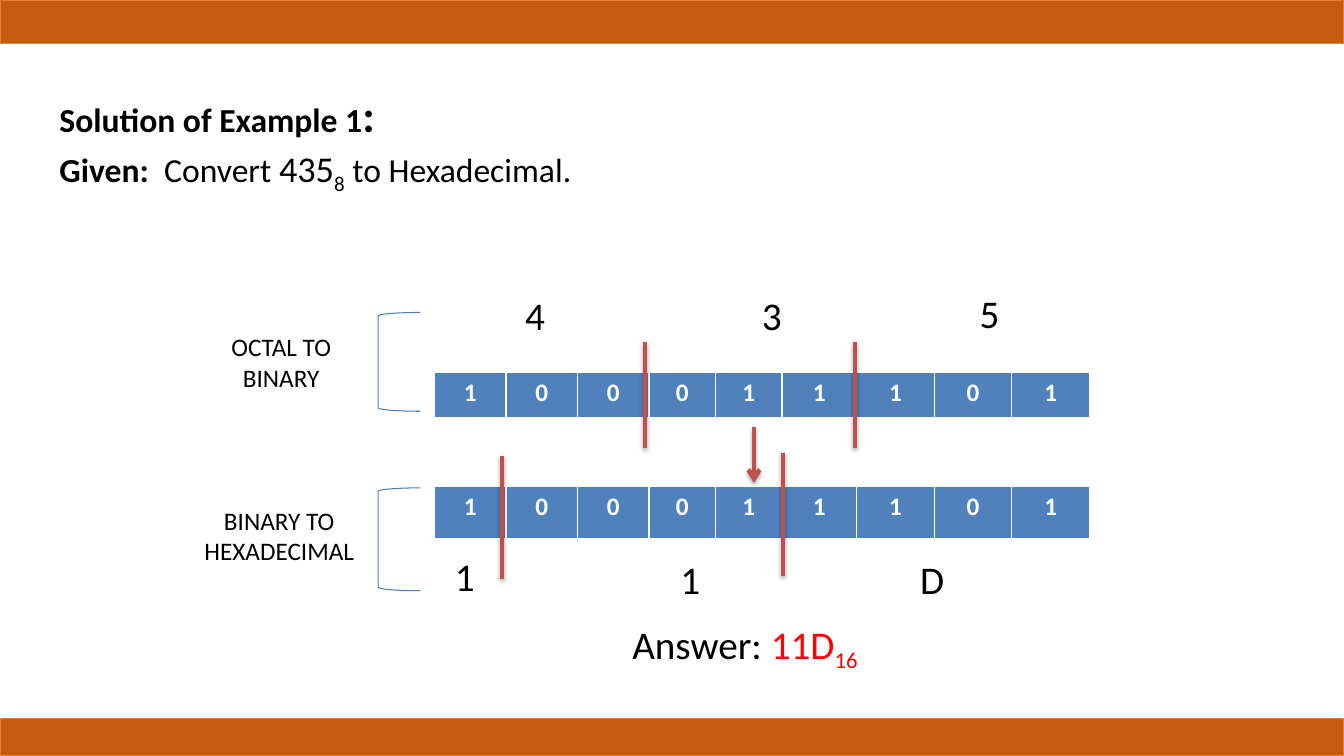
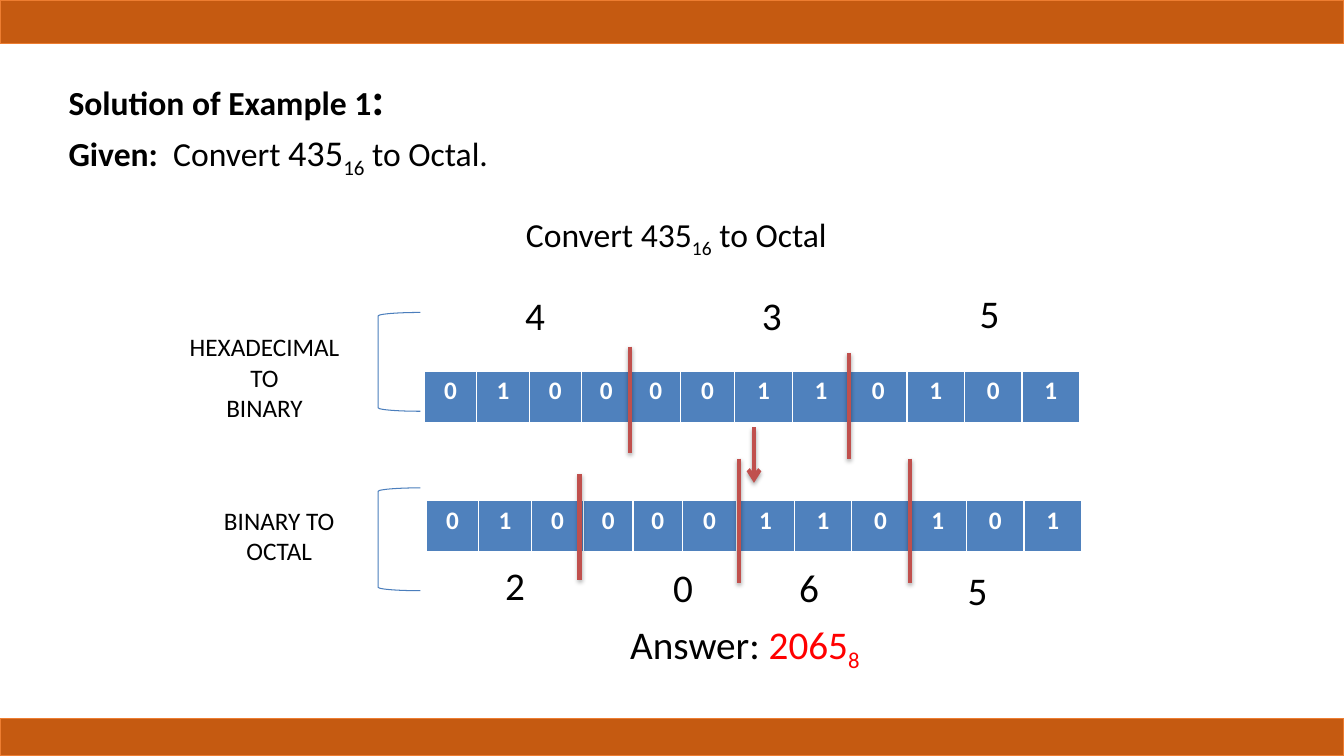
from lxml import etree
from pptx import Presentation
from pptx.dml.color import RGBColor
from pptx.enum.shapes import MSO_CONNECTOR, MSO_SHAPE
from pptx.enum.text import MSO_ANCHOR, MSO_AUTO_SIZE, PP_ALIGN
from pptx.oxml import parse_xml
from pptx.oxml.ns import nsdecls, qn
from pptx.util import Inches, Pt

LEFT, CENTER = PP_ALIGN.LEFT, PP_ALIGN.CENTER
TOP = MSO_ANCHOR.TOP
NO_FIT = MSO_AUTO_SIZE.NONE
STRAIGHT = MSO_CONNECTOR.STRAIGHT
RECTANGLE, LEFT_BRACKET = MSO_SHAPE.RECTANGLE, MSO_SHAPE.LEFT_BRACKET

BLACK = RGBColor(0x00, 0x00, 0x00)
WHITE = RGBColor(0xFF, 0xFF, 0xFF)
RED = RGBColor(0xFF, 0x00, 0x00)
BRICK = RGBColor(0xC0, 0x50, 0x4D)
CELL_BLUE = RGBColor(0x4F, 0x81, 0xBD)
BRACKET_BLUE = RGBColor(0x4B, 0x7E, 0xBC)
BAND_FILL = RGBColor(0xC5, 0x5A, 0x11)
BAND_EDGE = RGBColor(0xED, 0x7D, 0x31)

FONT = "Calibri"
COLUMNS, ROWS = 80, 45
SUBSCRIPT = "-25000"
BORDERS = {"lnL": 1, "lnR": 1, "lnT": 1, "lnB": 3}
SHADOW = (
    f'<a:effectLst {nsdecls("a")}>'
    f'<a:outerShdw blurRad="{Pt(3.1)}" dist="{Pt(1.8)}" dir="5400000" rotWithShape="0">'
    '<a:srgbClr val="000000"><a:alpha val="35000"/></a:srgbClr>'
    "</a:outerShdw></a:effectLst>"
)


def add_text(paragraph, text, size=18, color=BLACK, bold=False, subscript=False):
    for index, line in enumerate(text.split("\n")):
        if index:
            paragraph.add_line_break()
        run = paragraph.add_run()
        run.text = line
        run.font.name = FONT
        run.font.size = Pt(size)
        run.font.bold = bold
        run.font.color.rgb = color
        if subscript:
            run.font._element.set("baseline", SUBSCRIPT)


class Deck:
    def __init__(self):
        self.presentation = Presentation()
        self.presentation.slide_width = Inches(13.33)
        self.presentation.slide_height = Inches(7.5)
        self.slide = None

    def x(self, columns):
        return round(self.presentation.slide_width * columns / COLUMNS)

    def y(self, rows):
        return round(self.presentation.slide_height * rows / ROWS)

    def box(self, left, top, width, height):
        return self.x(left), self.y(top), self.x(width), self.y(height)

    def new_slide(self):
        self.slide = self.presentation.slides.add_slide(self.presentation.slide_layouts[0])

    def placeholder(self, index, left, top, width, height):
        holder = self.slide.placeholders[index]
        holder.left, holder.top, holder.width, holder.height = self.box(left, top, width, height)
        frame = holder.text_frame
        frame.auto_size = NO_FIT
        frame.vertical_anchor = TOP
        paragraph = frame.paragraphs[0]
        paragraph.alignment = LEFT
        paragraph.space_before = Pt(0)
        return paragraph

    def heading(self, left, top, number, base, target):
        title = self.placeholder(0, left, top + 0.18, 46, 3.6)
        add_text(title, "Solution of Example 1", size=24, bold=True)
        add_text(title, ":", size=32.4, bold=True)
        given = self.placeholder(1, left, top + 3.72, 46, 3.2)
        add_text(given, "Given:  ", size=24, bold=True)
        add_text(given, "Convert ", size=24)
        add_text(given, number, size=25.9)
        add_text(given, base, size=25.9, subscript=True)
        add_text(given, f" to {target}.", size=24)

    def shape(self, kind, left, top, width, height, edge, weight, fill=None):
        shape = self.slide.shapes.add_shape(kind, *self.box(left, top, width, height))
        shape.shadow.inherit = False
        shape.line.color.rgb = edge
        shape.line.width = Pt(weight)
        if fill is None:
            shape.fill.background()
        else:
            shape.fill.solid()
            shape.fill.fore_color.rgb = fill

    def bands(self):
        for top, height in ((0, 2.58), (42.75, 2.25)):
            self.shape(RECTANGLE, 0, top, COLUMNS, height, BAND_EDGE, 1, BAND_FILL)

    def bracket(self, top, height):
        self.shape(LEFT_BRACKET, 22.5, top, 2.52, height, BRACKET_BLUE, 0.75)

    def text(self, left, top, width, height, align=CENTER):
        frame = self.slide.shapes.add_textbox(*self.box(left, top, width, height)).text_frame
        frame.word_wrap = True
        paragraph = frame.paragraphs[0]
        paragraph.alignment = align
        return paragraph

    def digits(self, placed):
        for digit, left, top in placed:
            add_text(self.text(left, top, 3.48, 3.42, LEFT), digit, size=28)

    def bits(self, values, widths, left, top, height):
        frame = self.slide.shapes.add_table(
            1, len(values), *self.box(left, top, sum(widths), height))
        table = frame.table
        table.rows[0].height = self.y(height)
        for column, width, cell, value in zip(table.columns, widths, table.rows[0].cells, values):
            column.width = self.x(width)
            self.borders(cell)
            cell.fill.solid()
            cell.fill.fore_color.rgb = CELL_BLUE
            paragraph = cell.text_frame.paragraphs[0]
            paragraph.alignment = CENTER
            add_text(paragraph, value, color=WHITE, bold=True)

    def borders(self, cell):
        properties = cell._tc.get_or_add_tcPr()
        for side, weight in BORDERS.items():
            edge = etree.SubElement(properties, qn(f"a:{side}"), w=str(Pt(weight)))
            fill = etree.SubElement(edge, qn("a:solidFill"))
            etree.SubElement(fill, qn("a:srgbClr"), val=str(WHITE))

    def rule(self, column, top, bottom, arrow=False):
        line = self.slide.shapes.add_connector(
            STRAIGHT, self.x(column), self.y(top), self.x(column), self.y(bottom))
        line.line.color.rgb = BRICK
        line.line.width = Pt(3)
        if arrow:
            etree.SubElement(line.line._get_or_add_ln(), qn("a:tailEnd"), type="arrow")
        line._element.spPr.append(parse_xml(SHADOW))

    def conversion(self, bits, widths, tables, dividers, digits, labels, answer, base):
        self.bands()
        for left, top, height in tables:
            self.bits(bits, widths, left, top, height)
        for divider in dividers:
            self.rule(*divider)
        self.rule(44.88, 25.44, 28.74, arrow=True)
        self.digits((("4", 30.66, 17.04), ("3", 44.76, 17.04), ("5", 57.72, 16.92)))
        self.digits(digits)
        self.bracket(18.6, 5.88)
        self.bracket(29.04, 6.12)
        for label, *place in labels:
            add_text(self.text(*place), label)
        result = self.text(29.46, 36.6, 29.76, 3.42)
        add_text(result, "Answer: ", size=28)
        add_text(result, answer, size=28, color=RED)
        add_text(result, base, size=28, color=RED, subscript=True)


def octal_to_hexadecimal(deck):
    deck.new_slide()
    deck.heading(2.94, 4.68, "435", "8", "Hexadecimal")
    deck.conversion(
        bits="100011101",
        widths=[4.26] * 3 + [3.96] * 2 + [4.44] + [4.62] * 3,
        tables=((25.86, 22.14, 2.8), (25.86, 28.98, 3.16)),
        dividers=((38.4, 20.34, 26.64), (50.88, 20.34, 26.64),
                  (46.62, 26.94, 34.26), (29.88, 27.12, 34.44)),
        digits=(("1", 26.48, 32.58), ("1", 39.9, 32.76), ("D", 54.18, 32.76)),
        labels=(("OCTAL TO\nBINARY", 12.48, 19.44, 8.52, 4.26),
                ("BINARY TO\nHEXADECIMAL", 11.52, 29.76, 10.2, 4.26)),
        answer="11D",
        base="16",
    )


def hexadecimal_to_octal(deck):
    deck.new_slide()
    deck.heading(3.48, 3.72, "435", "16", "Octal")
    deck.conversion(
        bits="010000110101",
        widths=[3.12] * 3 + [2.94] * 2 + [3.24] + [3.42] * 6,
        tables=((25.26, 22.08, 3.16), (25.38, 29.76, 3.16)),
        dividers=((37.5, 20.64, 26.94), (50.52, 21, 27.3), (34.5, 28.2, 34.5),
                  (43.98, 27.3, 34.68), (54.18, 27.3, 34.68)),
        digits=(("2", 29.48, 33.12), ("0", 39.48, 33.24),
                ("6", 46.98, 33.24), ("5", 57, 33.42)),
        labels=(("HEXADECIMAL TO\nBINARY", 10.5, 19.44, 10.5, 6.06),
                ("BINARY TO\nOCTAL", 11.52, 29.76, 10.2, 4.26)),
        answer="2065",
        base="8",
    )
    task = deck.text(23.52, 12.42, 33.48, 3)
    add_text(task, "Convert 435", size=24)
    add_text(task, "16", size=24, subscript=True)
    add_text(task, " to Octal", size=24)


def main():
    deck = Deck()
    octal_to_hexadecimal(deck)
    hexadecimal_to_octal(deck)
    deck.presentation.save("out.pptx")


if __name__ == "__main__":
    main()
